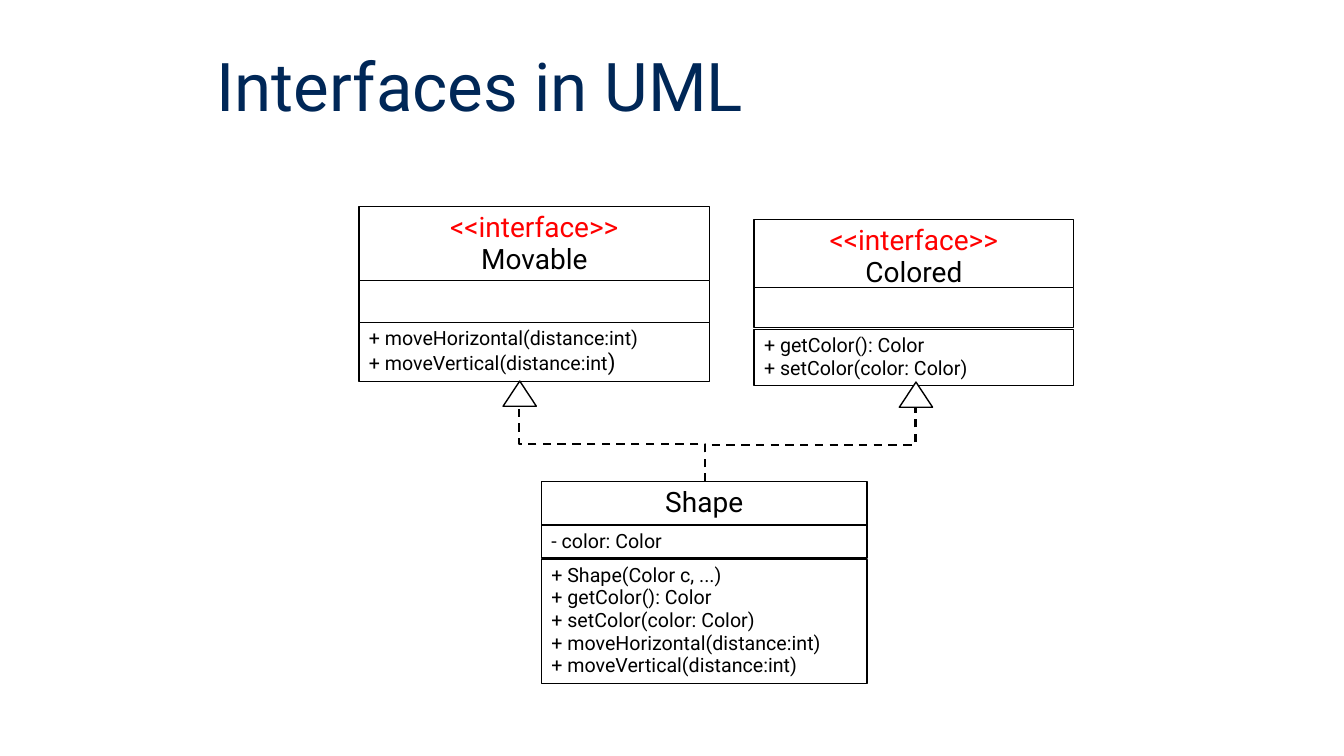
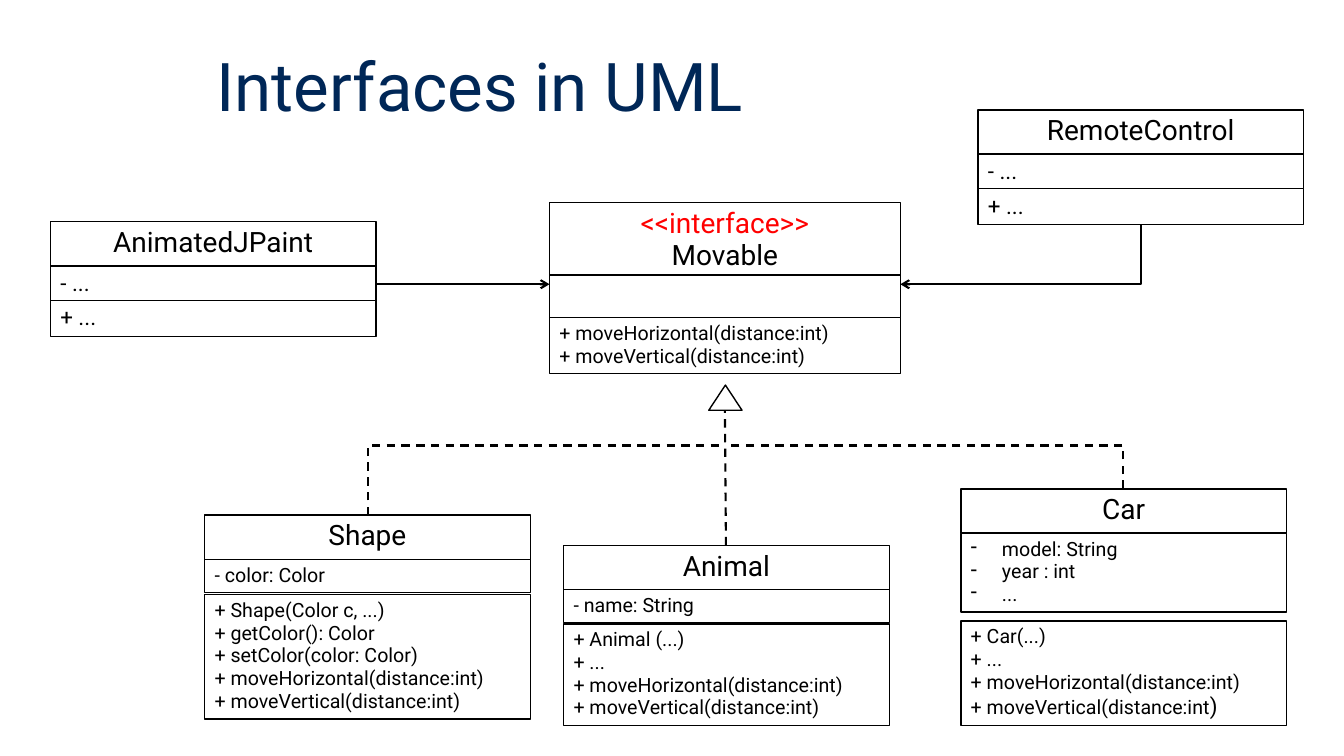
from dataclasses import dataclass

import lxml.etree
import pptx
import pptx.dml.color
import pptx.enum.dml
import pptx.enum.shapes
import pptx.enum.text
import pptx.oxml.ns
import pptx.util

Inches = pptx.util.Inches
Pt = pptx.util.Pt
qn = pptx.oxml.ns.qn
SHAPES = pptx.enum.shapes.MSO_SHAPE
CONNECTORS = pptx.enum.shapes.MSO_CONNECTOR
ALIGN = pptx.enum.text.PP_ALIGN


@dataclass(frozen=True)
class Theme:
    """Colours, type sizes and line widths of the deck."""
    font: str = "Roboto"
    title: str = "002757"
    ink: str = "000000"
    paper: str = "FFFFFF"
    stereotype: str = "FF0000"
    title_size: int = 48
    name_size: int = 20
    member_size: int = 14
    large_size: int = 16
    title_spacing: float = 0.9
    box_spacing: float = 0.96
    outline: float = 1
    link: float = 1.5


class Diagram:
    """Draws UML elements on the current page."""

    def __init__(self, deck, theme):
        """Keep the deck and its theme."""
        self.deck = deck
        self.theme = theme
        self.page = None

    def new_page(self, title):
        """Start a blank page with its title."""
        self.page = self.deck.slides.add_slide(self.deck.slide_layouts[6])
        box = self.page.shapes.add_textbox(
            Inches(2.05), Inches(0.4), Inches(10.88), Inches(0.99))
        frame = box.text_frame
        frame.word_wrap = True
        frame.vertical_anchor = pptx.enum.text.MSO_ANCHOR.MIDDLE
        frame.text = title
        para = frame.paragraphs[0]
        para.line_spacing = self.theme.title_spacing
        self.style(para, self.theme.title_size, self.theme.title)

    def style(self, para, size, color):
        """Format every run of a paragraph."""
        for span in para.runs:
            span.font.name = self.theme.font
            span.font.size = Pt(size)
            span.font.color.rgb = pptx.dml.color.RGBColor.from_string(color)

    def outlined(self, kind, left, top, width, height):
        """Add a white shape with a thin black outline."""
        shape = self.page.shapes.add_shape(
            kind, Inches(left), Inches(top), Inches(width), Inches(height))
        shape.shadow.inherit = False
        shape.fill.solid()
        shape.fill.fore_color.rgb = pptx.dml.color.RGBColor.from_string(self.theme.paper)
        shape.line.color.rgb = pptx.dml.color.RGBColor.from_string(self.theme.ink)
        shape.line.width = Pt(self.theme.outline)
        return shape

    def compartment(self, left, top, width, height, lines, size, align=ALIGN.LEFT):
        """Add one box of a class and return its paragraphs."""
        box = self.outlined(SHAPES.RECTANGLE, left, top, width, height)
        frame = box.text_frame
        frame.word_wrap = True
        frame.vertical_anchor = pptx.enum.text.MSO_ANCHOR.TOP
        frame.auto_size = pptx.enum.text.MSO_AUTO_SIZE.SHAPE_TO_FIT_TEXT
        frame.text = "\n".join(lines)
        for para in frame.paragraphs:
            para.alignment = align
            para.line_spacing = self.theme.box_spacing
            self.style(para, size, self.theme.ink)
        return frame.paragraphs

    def heading(self, left, top, width, name, interface=False):
        """Add the name box of a class or an interface."""
        lines = ["<<interface>>", name] if interface else [name]
        paras = self.compartment(left, top, width, 0.75 if interface else 0.44,
                                 lines, self.theme.name_size, ALIGN.CENTER)
        if interface:
            self.style(paras[0], self.theme.name_size, self.theme.stereotype)

    def members(self, left, top, width, lines, size=None, dashes=False, large_end=False):
        """Add a box of members, as high as its lines need."""
        size = size or self.theme.member_size
        height = 0.1 + len(lines) * size * 0.0162 + (0.03 if large_end else 0)
        paras = self.compartment(left, top, width, height, lines, size)
        if dashes:
            for para in paras:
                self.dash_bullet(para)
        if large_end:
            last = paras[-1]
            last.text = last.text[:-1]
            last.add_run().text = ")"
            self.style(last, size, self.theme.ink)
            last.runs[-1].font.size = Pt(self.theme.large_size)

    def dash_bullet(self, para):
        """Give a paragraph a hanging dash."""
        properties = para._p.get_or_add_pPr()
        properties.set("marL", str(Inches(0.31)))
        properties.set("indent", str(-Inches(0.31)))
        lxml.etree.SubElement(properties, qn("a:buChar")).set("char", "-")

    def empty(self, left, top, width, height):
        """Add a box without members."""
        self.outlined(SHAPES.RECTANGLE, left, top, width, height)

    def triangle(self, left, top):
        """Add the hollow head of a realization."""
        self.outlined(SHAPES.ISOSCELES_TRIANGLE, left, top, 0.33, 0.25)

    def finish(self, link, dashed, arrow):
        """Style a connector."""
        link.line.color.rgb = pptx.dml.color.RGBColor.from_string(self.theme.ink)
        link.line.width = Pt(self.theme.link)
        if dashed:
            link.line.dash_style = pptx.enum.dml.MSO_LINE.DASH
        if arrow:
            tail = lxml.etree.SubElement(link.line._get_or_add_ln(), qn("a:tailEnd"))
            tail.set("type", "arrow")
        lxml.etree.SubElement(link._element.spPr, qn("a:effectLst"))

    def straight(self, start, end, dashed=False, arrow=False):
        """Connect two points with a straight line."""
        link = self.page.shapes.add_connector(
            CONNECTORS.STRAIGHT, *(Inches(value) for value in start + end))
        self.finish(link, dashed, arrow)

    def elbow(self, start, end, bends=2, dashed=False, arrow=False):
        """Connect two points with a bent line that leaves vertically."""
        (x1, y1), (x2, y2) = start, end
        upward = y2 < y1
        half_width, half_height = abs(y2 - y1) / 2, abs(x2 - x1) / 2
        middle_x, middle_y = (x1 + x2) / 2, (y1 + y2) / 2
        flip = -1 if (x2 < x1) == upward else 1
        link = self.page.shapes.add_connector(
            CONNECTORS.ELBOW,
            Inches(middle_x - half_width), Inches(middle_y - flip * half_height),
            Inches(middle_x + half_width), Inches(middle_y + flip * half_height))
        properties = link._element.spPr
        properties.find(qn("a:xfrm")).set("rot", str((270 if upward else 90) * 60000))
        properties.find(qn("a:prstGeom")).set("prst", f"bentConnector{bends + 1}")
        self.finish(link, dashed, arrow)


MOVES = ["+ moveHorizontal(distance:int)", "+ moveVertical(distance:int)"]
COLOR_METHODS = ["+ getColor(): Color", "+ setColor(color: Color)"]
SHAPE_METHODS = ["+ Shape(Color c, ...)"] + COLOR_METHODS + MOVES
TITLE = "Interfaces in UML"
CLASS_WIDTH = 3.23
MOVABLE_WIDTH = 3.48
COLORED_WIDTH = 3.17


def draw_two_interfaces(diagram):
    """Show one class that realizes two interfaces."""
    diagram.new_page(TITLE)
    diagram.heading(7.48, 2.18, COLORED_WIDTH, "Colored", interface=True)
    diagram.empty(7.48, 2.85, COLORED_WIDTH, 0.4)
    diagram.members(7.48, 3.27, COLORED_WIDTH, COLOR_METHODS)

    diagram.heading(5.37, 4.78, CLASS_WIDTH, "Shape")
    diagram.members(5.37, 5.21, CLASS_WIDTH, ["- color: Color"])
    diagram.members(5.37, 5.55, CLASS_WIDTH, SHAPE_METHODS)

    diagram.heading(3.56, 2.05, MOVABLE_WIDTH, "Movable", interface=True)
    diagram.empty(3.56, 2.78, MOVABLE_WIDTH, 0.42)
    diagram.members(3.56, 3.2, MOVABLE_WIDTH, MOVES, large_end=True)

    for head_x, head_y in [(9.08, 3.79), (5.15, 3.78)]:
        diagram.elbow((6.99, 4.78), (head_x, head_y + 0.25), dashed=True)
        diagram.triangle(head_x - 0.16, head_y)


def draw_one_interface(diagram):
    """Show three realizing classes and two users of an interface."""
    diagram.new_page(TITLE)
    diagram.heading(5.45, 2.01, MOVABLE_WIDTH, "Movable", interface=True)
    diagram.empty(5.45, 2.73, MOVABLE_WIDTH, 0.42)
    diagram.members(5.45, 3.15, MOVABLE_WIDTH, MOVES)
    diagram.triangle(7.03, 3.82)

    realizations = [
        ("Shape", 2.03, 5.11, ["- color: Color"], 5.9, SHAPE_METHODS, False),
        ("Animal", 5.59, 5.41, ["- name: String"], 6.19,
         ["+ Animal (...)", "+ ..."] + MOVES, False),
        ("Car", 9.53, 4.85, ["model: String", "year : int", "..."], 6.16,
         ["+ Car(...)", "+ ..."] + MOVES, True),
    ]
    for name, left, top, fields, methods_top, methods, listed in realizations:
        diagram.heading(left, top, CLASS_WIDTH, name)
        diagram.members(left, top + 0.44, CLASS_WIDTH, fields, dashes=listed)
        diagram.members(left, methods_top, CLASS_WIDTH, methods, large_end=listed)

    diagram.straight((7.2, 5.41), (7.19, 4.07), dashed=True)
    for start in [(3.65, 5.11), (11.14, 4.85)]:
        diagram.elbow(start, (7.19, 4.42), bends=1, dashed=True)

    for name, left, top in [("AnimatedJPaint", 0.5, 2.2), ("RemoteControl", 9.7, 1.09)]:
        diagram.heading(left, top, CLASS_WIDTH, name)
        for offset, line in [(0.44, "- ..."), (0.78, "+ ...")]:
            diagram.members(left, top + offset, CLASS_WIDTH, [line],
                            size=diagram.theme.large_size)
    diagram.straight((3.73, 2.82), (5.45, 2.82), arrow=True)
    diagram.elbow((11.32, 2.23), (8.93, 2.82), bends=1, arrow=True)


def main():
    """Build and save the deck."""
    deck = pptx.Presentation()
    deck.slide_width, deck.slide_height = Inches(13.33), Inches(7.5)
    diagram = Diagram(deck, Theme())
    draw_two_interfaces(diagram)
    draw_one_interface(diagram)
    deck.save("out.pptx")


main()
